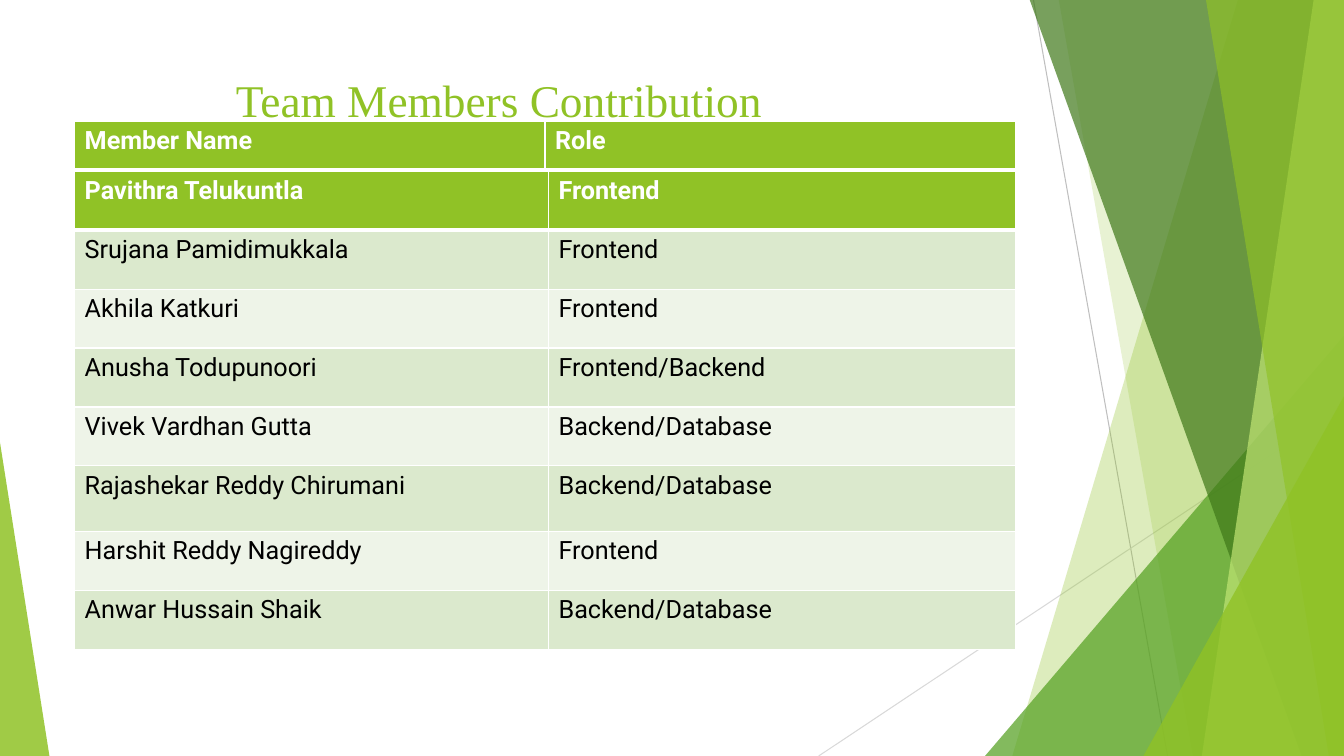
from typing import NamedTuple

from lxml import etree
from pptx import Presentation
from pptx.dml.color import RGBColor
from pptx.enum.shapes import MSO_CONNECTOR, MSO_SHAPE
from pptx.enum.text import MSO_ANCHOR, PP_ALIGN
from pptx.oxml.ns import qn
from pptx.util import Inches, Pt

LINE = MSO_CONNECTOR.STRAIGHT
TRIANGLE = MSO_SHAPE.ISOSCELES_TRIANGLE
LEFT = PP_ALIGN.LEFT
TOP = MSO_ANCHOR.TOP

WHITE = RGBColor(0xFF, 0xFF, 0xFF)
BLACK = RGBColor(0x00, 0x00, 0x00)
GREEN = RGBColor(0x90, 0xC2, 0x26)
LEAF = RGBColor(0x54, 0xA0, 0x21)
MOSS = RGBColor(0x3F, 0x78, 0x19)
LIME = RGBColor(0xC0, 0xE4, 0x74)
BANDS = (RGBColor(0xEE, 0xF4, 0xE8), RGBColor(0xDB, 0xE9, 0xCD))
GREY = RGBColor(0xBF, 0xBF, 0xBF)
PALE = RGBColor(0xD9, 0xD9, 0xD9)

WIDE, HIGH = 13.33, 7.5
EDGE = -0.01
SPAN = 9.33
TALL = 0.65
ROW = (4.74 - TALL) / 7


class Ray(NamedTuple):
    start: tuple[float, float]
    end: tuple[float, float]
    color: RGBColor


class Blade(NamedTuple):
    """A band from the top edge to the foot, out to the right side."""
    top: float
    foot: float
    color: RGBColor
    alpha: int


class Wedge(NamedTuple):
    left: float
    top: float
    width: float
    apex: float
    color: RGBColor
    alpha: int


class Grid(NamedTuple):
    top: float
    cols: tuple[float, ...]
    heights: tuple[float, ...]
    rows: tuple[tuple[str, str], ...]


RAYS = (
    Ray((10.25, 0), (11.58, HIGH), GREY),
    Ray((WIDE, 4.03), (8.12, HIGH), PALE),
)
DECOR = (
    Blade(12.28, 10.04, GREEN, 30),
    Blade(10.5, 11.83, GREEN, 20),
    Wedge(9.77, 3.33, 3.56, 1, LEAF, 72),
    Blade(10.21, 12.91, MOSS, 70),
    Blade(13.03, 11.92, LIME, 70),
    Blade(11.96, 13.18, GREEN, 65),
    Wedge(11.34, 3.93, 1.99, 1, GREEN, 80),
    Wedge(0, 4.39, 0.49, 0, GREEN, 85),
)
MEMBERS = (
    ("Pavithra Telukuntla", "Frontend"),
    ("Srujana Pamidimukkala", "Frontend"),
    ("Akhila Katkuri", "Frontend"),
    ("Anusha Todupunoori", "Frontend/Backend"),
    ("Vivek Vardhan Gutta", "Backend/Database"),
    ("Rajashekar Reddy Chirumani", "Backend/Database"),
    ("Harshit Reddy Nagireddy", "Frontend"),
    ("Anwar Hussain Shaik", "Backend/Database"),
)
GRIDS = (
    Grid(1.7, (4.7, 4.63), (ROW,) * 5 + (TALL,) + (ROW,) * 2, MEMBERS),
    Grid(1.2, (SPAN / 2,) * 2, (0.49,), (("Member Name", "Role"),)),
)


def style(font, **values) -> None:
    color = values.pop("color")
    for name, value in values.items():
        setattr(font, name, value)
    font.color.rgb = color


def draw_ray(shapes, ray: Ray) -> None:
    points = [Inches(v) for v in ray.start + ray.end]
    line = shapes.add_connector(LINE, *points)
    line.line.color.rgb = ray.color
    line.line.width = Pt(0.75)
    etree.SubElement(line.element.spPr, qn("a:effectLst"))


def paint(shape, color: RGBColor, alpha: int) -> None:
    """Fill a shape with a see-through colour; alpha is in percent."""
    shape.shadow.inherit = False
    shape.line.fill.background()
    shape.fill.solid()
    shape.fill.fore_color.rgb = color
    tint = shape.element.spPr.find(qn("a:solidFill"))[0]
    etree.SubElement(tint, qn("a:alpha"), val=str(alpha * 1000))


def draw_blade(shapes, blade: Blade) -> None:
    corners = ((blade.top, EDGE), (WIDE, EDGE), (WIDE, HIGH), (blade.foot, HIGH))
    points = [(Inches(x), Inches(y)) for x, y in corners]
    path = shapes.build_freeform(*points[0])
    path.add_line_segments(points[1:], close=True)
    paint(path.convert_to_shape(), blade.color, blade.alpha)


def draw_wedge(shapes, wedge: Wedge) -> None:
    box = (wedge.left, wedge.top, wedge.width, HIGH - wedge.top)
    shape = shapes.add_shape(TRIANGLE, *map(Inches, box))
    shape.adjustments[0] = wedge.apex
    paint(shape, wedge.color, wedge.alpha)


def add_edges(cell, foot: float) -> None:
    """Give a cell white borders, the lower one foot points wide."""
    props = cell._tc.get_or_add_tcPr()
    for spot, side in enumerate("LRTB"):
        width = foot if side == "B" else 1
        edge = etree.Element(qn(f"a:ln{side}"), w=str(Pt(width)))
        fill = etree.SubElement(edge, qn("a:solidFill"))
        etree.SubElement(fill, qn("a:srgbClr"), val=str(WHITE))
        props.insert(spot, edge)


def draw_grid(shapes, grid: Grid) -> None:
    box = (0.74, grid.top, SPAN, sum(grid.heights))
    frame = shapes.add_table(len(grid.rows), len(grid.cols), *map(Inches, box))
    table = frame.table
    for col, width in zip(table.columns, grid.cols):
        col.width = Inches(width)
    for i, (row, height) in enumerate(zip(table.rows, grid.heights)):
        row.height = Inches(height)
        head = i == 0
        for cell, text in zip(row.cells, grid.rows[i]):
            cell.text = text
            cell.fill.solid()
            cell.fill.fore_color.rgb = GREEN if head else BANDS[i % 2]
            add_edges(cell, 3 if head else 1)
            style(cell.text_frame.paragraphs[0].runs[0].font, name="Roboto",
                  size=Pt(18), bold=head, color=WHITE if head else BLACK)


def set_title(title) -> None:
    box = {"left": 0.74, "top": 0.67, "width": 9.4, "height": 0.54}
    for name, value in box.items():
        setattr(title, name, Inches(value))
    frame = title.text_frame
    frame.text = "Team Members Contribution"
    frame.vertical_anchor = TOP
    frame.margin_left = Inches(1.6)
    frame.margin_top = Inches(0.05)
    line = frame.paragraphs[0]
    line.alignment = LEFT
    style(line.runs[0].font, name="Times New Roman", size=Pt(32.4), color=GREEN)


def main() -> None:
    deck = Presentation()
    deck.slide_width, deck.slide_height = Inches(WIDE), Inches(HIGH)
    slide = deck.slides.add_slide(deck.slide_layouts[5])
    shapes = slide.shapes
    for ray in RAYS:
        draw_ray(shapes, ray)
    for part in DECOR:
        draw = draw_blade if isinstance(part, Blade) else draw_wedge
        draw(shapes, part)
    set_title(shapes.title)
    for grid in GRIDS:
        draw_grid(shapes, grid)
    deck.save("out.pptx")


if __name__ == "__main__":
    main()
